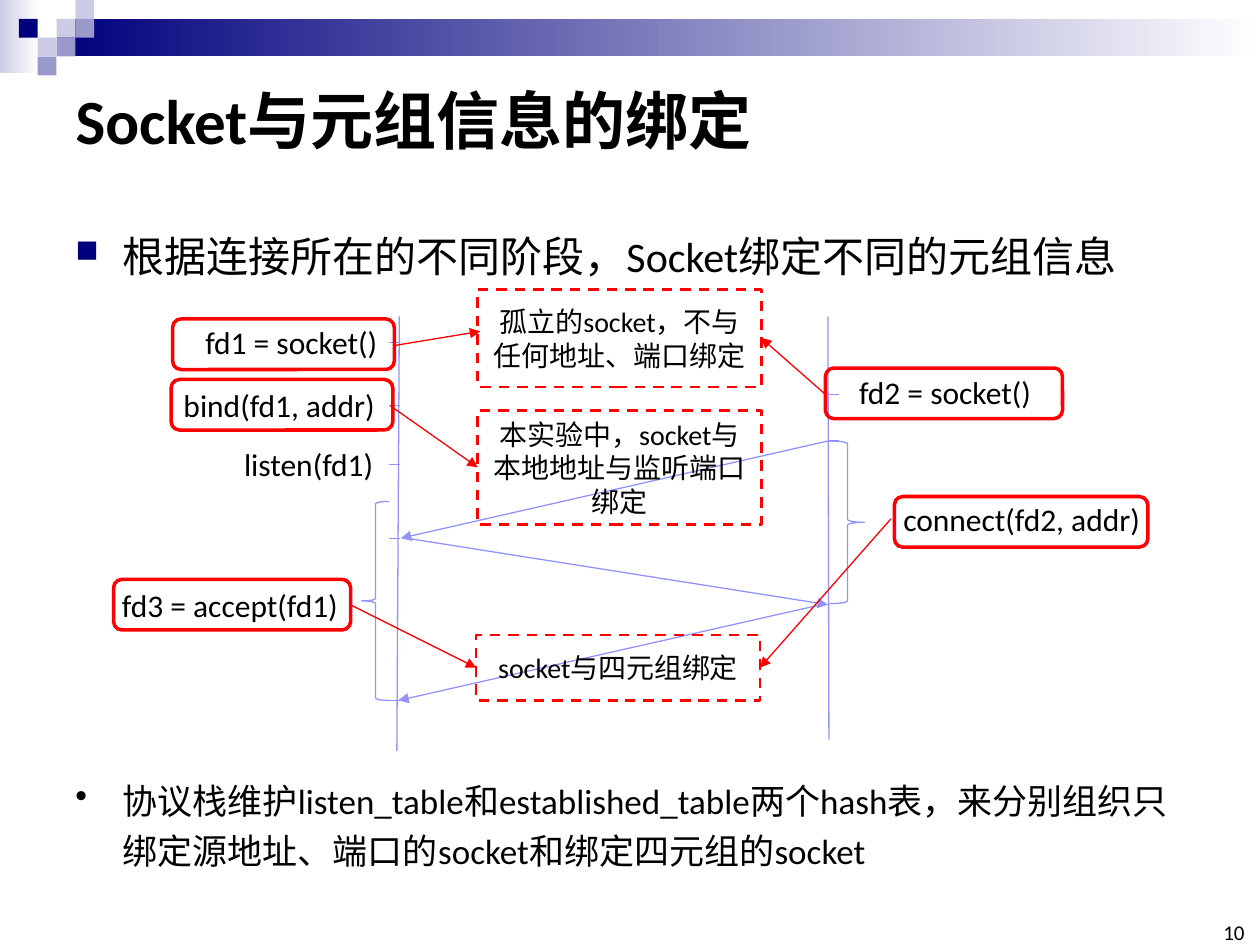
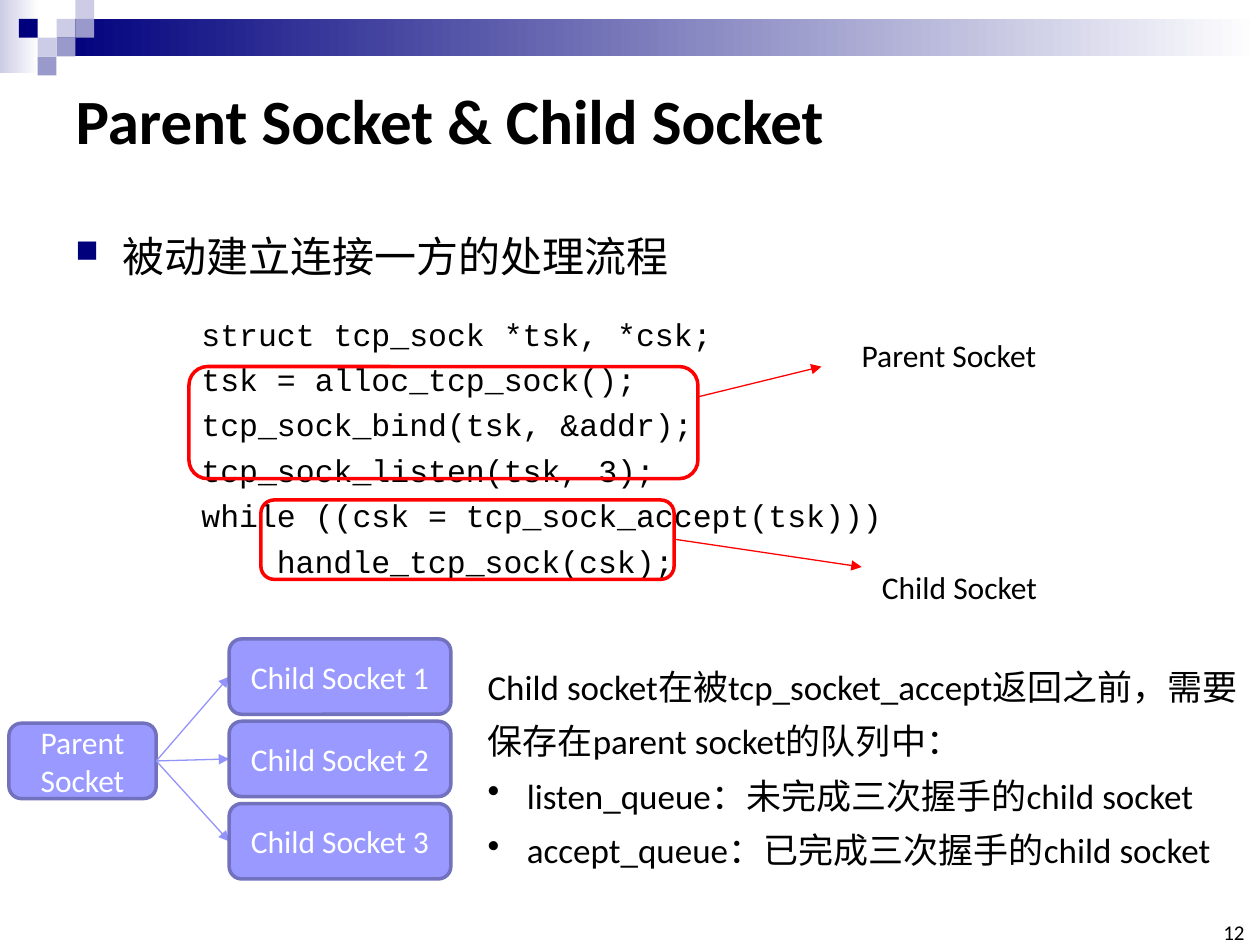
from lxml import etree
from pptx import Presentation
from pptx.dml.color import RGBColor
from pptx.enum import dml, shapes, text
from pptx.oxml import ns
from pptx.util import Cm, Pt

COLORS = {
    "black": "000000",
    "white": "FFFFFF",
    "navy": "00007D",
    "pale": "CCCCE6",
    "mid": "9999CC",
    "red": "FF0000",
    "sequence": "9393FC",
    "box": "9999FF",
    "box_edge": "7171BD",
}
TITLE_ONLY = 5
LABEL_HEIGHT = 1.02
GRID = 0.38
CORNER_SQUARES = [
    (3, 1, "pale"), (4, 0, "pale"), (4, 1, "mid"), (2, 2, "pale"),
    (1, 1, "navy"), (3, 2, "mid"), (2, 3, "mid"),
]
SHAPE = shapes.MSO_SHAPE
ALIGN = text.PP_ALIGN
ANCHOR = text.MSO_ANCHOR


def rgb(name):
    return RGBColor.from_string(COLORS[name])


def add_xml(parent, tag, **attributes):
    return etree.SubElement(parent, ns.qn(tag), **attributes)


def add_bullet(paragraph, character, color=None, percent=None):
    properties = paragraph._p.get_or_add_pPr()
    if color:
        add_xml(add_xml(properties, "a:buClr"), "a:srgbClr", val=COLORS[color])
    if percent:
        add_xml(properties, "a:buSzPct", val=str(percent * 1000))
    add_xml(properties, "a:buChar", char=character)


def write(shape, content, size=18, color="black", font="Calibri", bold=False,
          align=ALIGN.LEFT, spacing=None, indent=0, bullet=None):
    frame = shape.text_frame
    paragraph = frame.paragraphs[0]
    if paragraph.runs:
        paragraph = frame.add_paragraph()
    paragraph.alignment = align
    if spacing:
        paragraph.line_spacing = spacing
    if indent:
        properties = paragraph._p.get_or_add_pPr()
        properties.set("marL", str(Cm(indent)))
        properties.set("indent", str(-Cm(indent) if bullet else 0))
    if bullet:
        add_bullet(paragraph, **bullet)
    run = paragraph.add_run()
    run.text = content
    run.font.size = Pt(size)
    run.font.name = font
    run.font.bold = bold
    run.font.color.rgb = rgb(color)


def add_text_box(slide, left, top, width, height, wrap=True, fit=True):
    box = slide.shapes.add_textbox(Cm(left), Cm(top), Cm(width), Cm(height))
    box.text_frame.word_wrap = wrap
    if fit:
        box.text_frame.auto_size = text.MSO_AUTO_SIZE.SHAPE_TO_FIT_TEXT
    return box


def add_label(slide, content, left, top, width):
    box = add_text_box(slide, left, top, width, LABEL_HEIGHT, wrap=False)
    write(box, content)


def add_shape(slide, kind, left, top, width, height, fill=None, line=None,
              weight=2, dashed=False):
    shape = slide.shapes.add_shape(kind, Cm(left), Cm(top), Cm(width), Cm(height))
    shape.shadow.inherit = False
    if fill:
        shape.fill.solid()
        shape.fill.fore_color.rgb = rgb(fill)
    else:
        shape.fill.background()
    if line:
        shape.line.color.rgb = rgb(line)
        shape.line.width = Pt(weight)
        if dashed:
            shape.line.dash_style = dml.MSO_LINE.DASH
    else:
        shape.line.fill.background()
    shape.text_frame.word_wrap = True
    shape.text_frame.vertical_anchor = ANCHOR.MIDDLE
    return shape


def add_gradient(slide, left, top, width, height, start):
    shape = add_shape(slide, SHAPE.RECTANGLE, left, top, width, height)
    shape.fill.gradient()
    shape.fill.gradient_angle = 0
    stops = shape.fill.gradient_stops
    for stop, position, color in zip(stops, (0, 1), (start, "white")):
        stop.position = position
        stop.color.rgb = rgb(color)


def add_line(slide, start, end, color="sequence", arrow=False):
    points = [Cm(value) for value in (*start, *end)]
    line = slide.shapes.add_connector(shapes.MSO_CONNECTOR.STRAIGHT, *points)
    line.line.color.rgb = rgb(color)
    line.line.width = Pt(0.75)
    if arrow:
        add_xml(line.line._get_or_add_ln(), "a:tailEnd", type="triangle")
    add_xml(line._element.spPr, "a:effectLst")


def add_frame(slide, left, top, width, height=LABEL_HEIGHT):
    add_shape(slide, SHAPE.ROUNDED_RECTANGLE, left, top, width, height, line="red")


def add_note(slide, content, left, top, height):
    note = add_shape(slide, SHAPE.RECTANGLE, left, top, 5.72, height,
                     line="red", weight=1.5, dashed=True)
    write(note, content, size=16, align=ALIGN.CENTER)


def add_socket(slide, content, left, top, width):
    socket = add_shape(slide, SHAPE.ROUNDED_RECTANGLE, left, top, width, 1.52,
                       fill="box", line="box_edge")
    write(socket, content, color="white", align=ALIGN.CENTER)


def start_slide(presentation, title, point, number):
    slide = presentation.slides.add_slide(presentation.slide_layouts[TITLE_ONLY])
    add_gradient(slide, 0, 0, 0.79, 1.47, "pale")
    add_gradient(slide, 3 * GRID, GRID, 25.4 - 3 * GRID, 2 * GRID, "navy")
    for column, row, color in CORNER_SQUARES:
        add_shape(slide, SHAPE.RECTANGLE, column * GRID, row * GRID, GRID, GRID,
                  fill=color)

    heading = slide.shapes.title
    heading.left, heading.top = Cm(1.27), Cm(1.27)
    heading.width, heading.height = Cm(22.86), Cm(2.26)
    heading.text_frame.auto_size = text.MSO_AUTO_SIZE.NONE
    heading.text_frame.vertical_anchor = ANCHOR.MIDDLE
    write(heading, title, size=36, bold=True)

    body = add_text_box(slide, 1.27, 4.01, 22.86, 1.6, fit=False)
    write(body, point, size=24, spacing=1.5, indent=0.95,
          bullet={"character": "■", "color": "navy", "percent": 75})

    footer = add_text_box(slide, 24.51, 18.62, 0.58, 0.43, fit=False)
    frame = footer.text_frame
    frame.margin_left = frame.margin_right = 0
    frame.margin_top = frame.margin_bottom = 0
    frame.vertical_anchor = ANCHOR.BOTTOM
    write(footer, str(number), size=12, align=ALIGN.RIGHT)
    return slide


def draw_sequence(slide):
    add_line(slide, (8.05, 6.38), (8, 15.14))
    add_line(slide, (16.69, 6.38), (16.71, 14.91))
    for left, levels in ((7.85, (6.91, 8.18, 9.37, 10.85, 14.12)),
                         (16.7, (7.95, 8.89, 12.17))):
        for level in levels:
            add_line(slide, (left, level), (left + 0.22, level))
    for start, end in (((16.69, 8.89), (8.08, 10.85)),
                       ((8.2, 10.85), (16.69, 12.19)),
                       ((16.64, 12.17), (8.03, 14.12))):
        add_line(slide, start, end, arrow=True)
    for kind, *place in ((SHAPE.LEFT_BRACE, 7.29, 10.11, 0.56, 4.01),
                         (SHAPE.RIGHT_BRACE, 16.74, 8.89, 0.69, 3.28)):
        add_shape(slide, kind, *place, line="sequence", weight=0.75)
    for label in (("fd1 = socket()", 3.89, 6.38, 4.01),
                  ("bind(fd1, addr)", 3.45, 7.65, 4.42),
                  ("listen(fd1)", 4.67, 8.84, 3.15),
                  ("fd3 = accept(fd1)", 2.21, 11.68, 4.93),
                  ("fd2 = socket()", 17.07, 7.39, 4.01),
                  ("connect(fd2, addr)", 17.96, 9.96, 5.36)):
        add_label(slide, *label)


def build_binding_slide(presentation):
    slide = start_slide(presentation, "Socket与元组信息的绑定",
                        "根据连接所在的不同阶段，Socket绑定不同的元组信息", 10)
    draw_sequence(slide)
    summary = add_text_box(slide, 1.27, 15.42, 22.86, 2.24)
    write(summary, "协议栈维护listen_table和established_table两个hash表，"
          "来分别组织只绑定源地址、端口的socket和绑定四元组的socket",
          size=20, spacing=1.2, indent=0.95, bullet={"character": "•"})
    for frame in ((3.48, 6.43, 4.47), (3.45, 7.65, 4.47), (2.29, 11.68, 4.78),
                  (16.64, 7.42, 4.78), (18.03, 10.01, 5.11)):
        add_frame(slide, *frame)
    for note in (("孤立的socket，不与任何地址、端口绑定", 9.63, 5.84, 1.96),
                 ("本实验中，socket与本地地址与监听端口绑定", 9.63, 8.28, 2.29),
                 ("socket与四元组绑定", 9.6, 12.8, 1.32)):
        add_note(slide, *note)
    for start, end in (((7.98, 6.96), (9.68, 6.68)),
                       ((16.64, 7.95), (15.34, 6.81)),
                       ((7.87, 8.18), (9.63, 9.42)),
                       ((7.06, 12.19), (9.6, 13.46)),
                       ((17.96, 10.46), (15.32, 13.46))):
        add_line(slide, start, end, color="red", arrow=True)


def draw_code(slide):
    code = add_text_box(slide, 3.81, 6.07, 14.3, 5.77, wrap=False)
    for line, indent in (("struct tcp_sock *tsk, *csk;", 0),
                         ("tsk = alloc_tcp_sock();", 0),
                         ("tcp_sock_bind(tsk, &addr);", 0),
                         ("tcp_sock_listen(tsk, 3);", 0),
                         ("while ((csk = tcp_sock_accept(tsk)))", 0),
                         ("handle_tcp_sock(csk);", 1.52)):
        write(code, line, font="Courier New", spacing=1.2, indent=indent)
    add_frame(slide, 3.81, 7.39, 10.26, 2.26)
    add_line(slide, (14.07, 8), (16.56, 7.39), color="red", arrow=True)
    add_label(slide, "Parent Socket", 17.12, 6.65, 4.06)
    add_frame(slide, 5.26, 10.08, 8.33, 1.6)
    add_line(slide, (13.59, 10.87), (17.37, 11.43), color="red", arrow=True)
    add_label(slide, "Child Socket", 17.53, 11.33, 3.68)


def draw_socket_tree(slide):
    add_socket(slide, "Parent Socket", 0.18, 14.58, 2.97)
    for index in range(3):
        top = 12.88 + 1.66 * index
        add_line(slide, (3.15, 15.34), (4.62, top + 0.76), arrow=True)
        add_socket(slide, f"Child Socket {index + 1}", 4.62, top, 4.47)


def build_parent_child_slide(presentation):
    slide = start_slide(presentation, "Parent Socket & Child Socket",
                        "被动建立连接一方的处理流程", 12)
    draw_code(slide)
    draw_socket_tree(slide)
    queues = add_text_box(slide, 9.58, 13.03, 15.82, 4.6)
    write(queues, "Child socket在被tcp_socket_accept返回之前，"
          "需要保存在parent socket的队列中：", size=20, spacing=1.3)
    for item in ("listen_queue：未完成三次握手的child socket",
                 "accept_queue：已完成三次握手的child socket"):
        write(queues, item, size=20, spacing=1.3, indent=0.79,
              bullet={"character": "•"})


def main():
    presentation = Presentation()
    presentation.slide_width = Cm(25.4)
    presentation.slide_height = Cm(19.05)
    build_binding_slide(presentation)
    build_parent_child_slide(presentation)
    presentation.save("out.pptx")


main()
